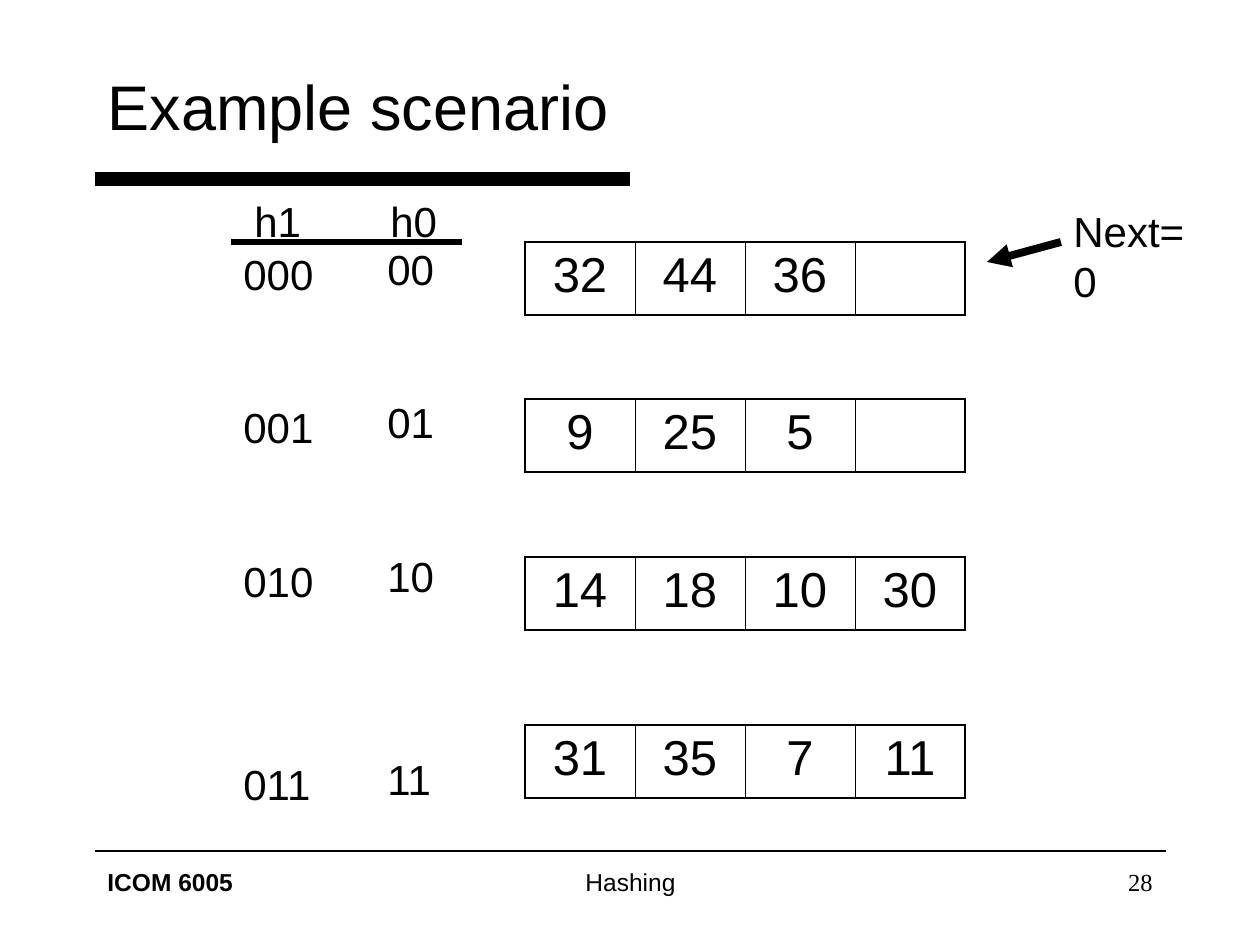
from lxml.etree import SubElement
from pptx import Presentation
from pptx.dml.color import RGBColor
from pptx.enum.shapes import MSO_CONNECTOR
from pptx.enum.text import MSO_ANCHOR, PP_ALIGN
from pptx.oxml import parse_xml
from pptx.oxml.ns import nsdecls, qn
from pptx.util import Emu, Pt

PX = 914400 // 126
COLORS = {"ink": "000000"}
INK = RGBColor.from_string(COLORS["ink"])
LEFT, CENTER, RIGHT = PP_ALIGN.LEFT, PP_ALIGN.CENTER, PP_ALIGN.RIGHT

TITLE = "Example scenario"
# text, left, width, align, font, bold
FOOTERS = [
    ("ICOM 6005", 95, 262, LEFT, "Arial", True),
    ("Hashing", 431, 399, CENTER, "Arial", False),
    ("28", 903, 262, RIGHT, "Times New Roman", False),
]
# top, keys of one bucket
BUCKETS = [
    (242, ["32", "44", "36", ""]),
    (399, ["9", "25", "5", ""]),
    (557, ["14", "18", "10", "30"]),
    (725, ["31", "35", "7", "11"]),
]
# lines, left, top, width, height
LABELS = [
    (["00", "01", "10", "11"], 375, 237, 72, 567),
    (["000", "001", "010", "011"], 231, 242, 95, 567),
    (["h1"], 242, 189, 72, 63),
    (["h0"], 378, 189, 72, 63),
    (["Next=0"], 1061, 199, 159, 63),
]
GAPS = [0, 59, 59, 87]  # points above each hash value
# start x, start y, end x, end y, points, arrow
LINES = [
    (95, 179, 630, 179, 8, False),
    (95, 851, 1166, 851, 1, False),
    (231, 242, 462, 242, 3, False),
    (1061, 242, 987, 262, 4.5, True),
]
CELL_W, CELL_H, GRID_X = 110, 73, 525
THICK, THIN = 1.08, 0.45


def px(*nums):
    return [Emu(n * PX) for n in nums]


def style(para, size, font="Arial", bold=False, align=LEFT):
    para.alignment = align
    for run in para.runs:
        run.font.size = Pt(size)
        run.font.name = font
        run.font.bold = bold
        run.font.color.rgb = INK


def add_text(slide, lines, box, size, wrap, **look):
    frame = slide.shapes.add_textbox(*px(*box)).text_frame
    frame.word_wrap = wrap
    frame.text = "\n".join(lines)
    for para, gap in zip(frame.paragraphs, GAPS):
        if gap:
            para.space_before = Pt(gap)
        style(para, size, **look)


def add_line(slide, x1, y1, x2, y2, width, arrow):
    line = slide.shapes.add_connector(MSO_CONNECTOR.STRAIGHT, *px(x1, y1, x2, y2))
    line.line.color.rgb = INK
    line.line.width = Pt(width)
    if arrow:
        SubElement(line.line._get_or_add_ln(), qn("a:tailEnd"), type="triangle")
    SubElement(line._element.spPr, qn("a:effectLst"))


def set_border(cell, widths):
    """Draw the cell sides, given as points for L, R, T and B."""
    props = cell._tc.get_or_add_tcPr()
    for i, (side, width) in enumerate(widths.items()):
        props.insert(i, parse_xml(
            f'<a:ln{side} {nsdecls("a")} w="{Pt(width)}"><a:solidFill>'
            f'<a:srgbClr val="{COLORS["ink"]}"/></a:solidFill></a:ln{side}>'))


def add_bucket(slide, top, keys):
    count = len(keys)
    table = slide.shapes.add_table(
        1, count, *px(GRID_X, top, CELL_W * count, CELL_H)).table
    table.first_row = table.horz_banding = False
    for i, key in enumerate(keys):
        cell = table.cell(0, i)
        cell.text = key
        cell.fill.background()
        style(cell.text_frame.paragraphs[0], 28, align=CENTER)
        set_border(cell, {
            "L": THICK if i == 0 else THIN,
            "R": THICK if i == count - 1 else THIN,
            "T": THICK,
            "B": THICK,
        })


def main():
    deck = Presentation()
    deck.slide_width, deck.slide_height = px(1260, 945)
    slide = deck.slides.add_slide(deck.slide_layouts[5])

    title = slide.shapes.title
    title.left, title.top, title.width, title.height = px(95, 42, 1071, 126)
    title.text_frame.text = TITLE
    title.text_frame.vertical_anchor = MSO_ANCHOR.MIDDLE
    style(title.text_frame.paragraphs[0], 36)

    for text, left, width, align, font, bold in FOOTERS:
        add_text(slide, [text], (left, 861, width, 63), 14, True,
                 font=font, bold=bold, align=align)
    for top, keys in BUCKETS:
        add_bucket(slide, top, keys)
    for lines, *box in LABELS:
        add_text(slide, lines, box, 24, False)
    for line in LINES:
        add_line(slide, *line)
    deck.save("out.pptx")


if __name__ == "__main__":
    main()
